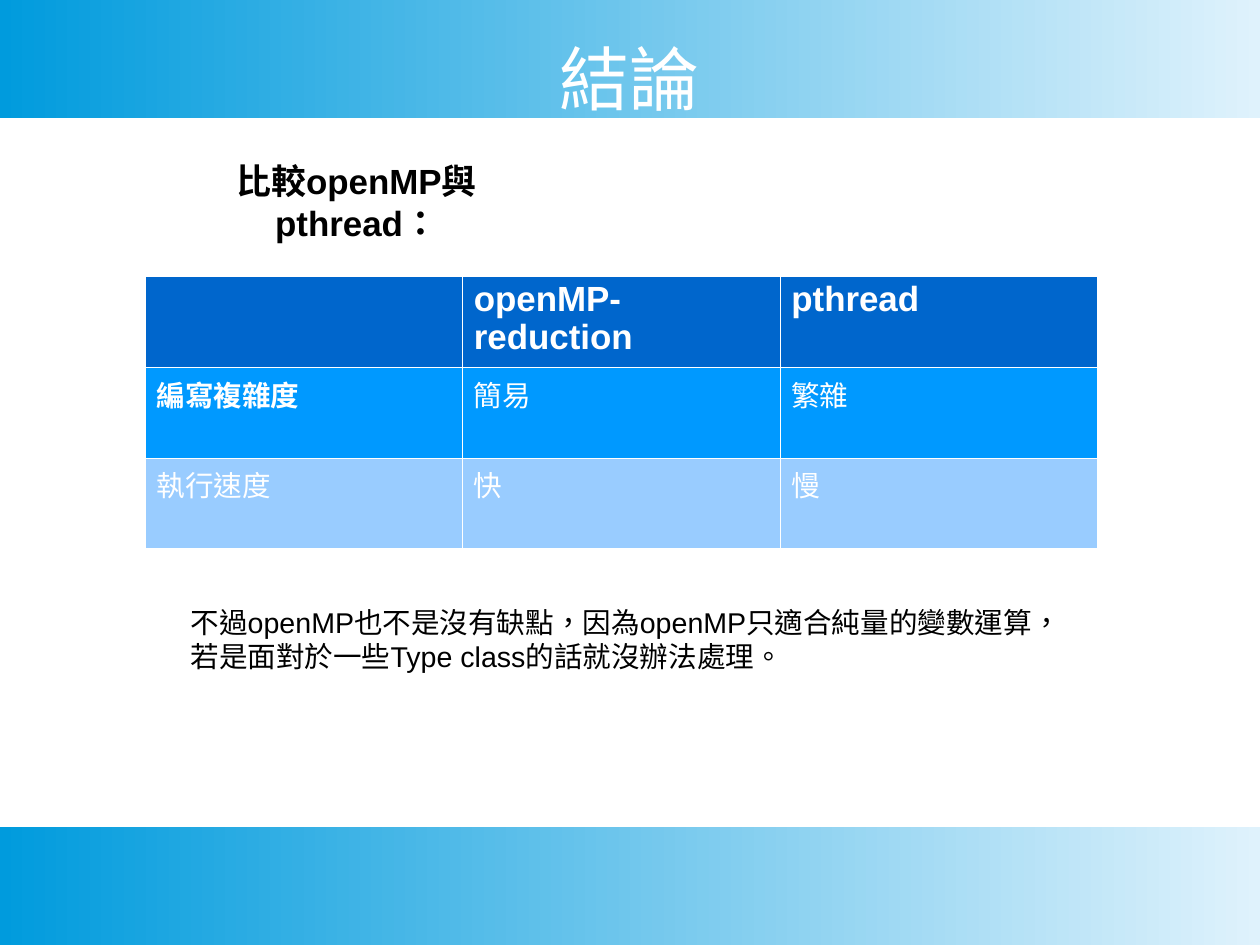
"""Builds the conclusion slide that compares openMP with pthread."""
from lxml import etree
from pptx import Presentation, util as u
from pptx.dml import color
from pptx.enum import shapes, text
from pptx.oxml import ns

WIDE, HIGH, BAND = 793.75, 595.25, 74.2
SHADES = ["DFF2FC", "009BDD"]
TITLE = ["結論"]
HEAD = ["比較openMP與pthread："]
NOTES = ["不過openMP也不是沒有缺點，因為openMP只適合純量的變數運算，",
         "若是面對於一些Type class的話就沒辦法處理。"]
ROWS = [("0066CC", ["", "openMP-reduction", "pthread"]),
        ("0099FF", ["編寫複雜度", "簡易", "繁雜"]),
        ("99CCFF", ["執行速度", "快", "慢"])]
LEFT, TOP, COL, ROW = 91.4, 174.2, 200, 56.7
LINE = 0.06


def rgb(code):
    return color.RGBColor.from_string(code)


def style(frame, size, code, bold=False, align=None):
    for para in frame.paragraphs:
        para.alignment = align
        for run in para.runs:
            font = run.font
            font.name, font.size, font.bold = "Arial", u.Pt(size), bold
            font.color.rgb = rgb(code)
            run._r.get_or_add_rPr().set("lang", "zh-TW")


def band(slide, top):
    bar = slide.shapes.add_shape(shapes.MSO_SHAPE.RECTANGLE, 0, u.Pt(top), u.Pt(WIDE), u.Pt(BAND))
    bar.shadow.inherit = False
    bar.line.fill.background()
    bar.fill.gradient()
    bar.fill.gradient_angle = 180
    for place, (stop, code) in enumerate(zip(bar.fill.gradient_stops, SHADES)):
        stop.position = place
        stop.color.rgb = rgb(code)


def label(slide, lines, area, size, code, **look):
    box = slide.shapes.add_textbox(*map(u.Pt, area))
    frame = box.text_frame
    frame.word_wrap = True
    frame.text = "\n".join(lines)
    style(frame, size, code, **look)
    return frame


def edge(cell, code):
    props = cell._tc.get_or_add_tcPr()
    for side in ("a:lnL", "a:lnR", "a:lnT", "a:lnB"):
        line = etree.SubElement(props, ns.qn(side), w=str(int(u.Pt(LINE))))
        fill = etree.SubElement(line, ns.qn("a:solidFill"))
        etree.SubElement(fill, ns.qn("a:srgbClr"), val=code)


def grid(slide):
    count = len(ROWS[0][1])
    area = (LEFT, TOP, COL * count, ROW * len(ROWS))
    table = slide.shapes.add_table(len(ROWS), count, *map(u.Pt, area)).table
    for r, (shade, words) in enumerate(ROWS):
        for c, word in enumerate(words):
            cell = table.cell(r, c)
            cell.text_frame.text = word
            style(cell.text_frame, 18 if r else 22, "FFFFFF", bold=r == 0 or (r, c) == (1, 0))
            if r == 0:
                cell.text_frame.paragraphs[0].line_spacing = 0.95
            edge(cell, "FFFFFF")
            cell.fill.solid()
            cell.fill.fore_color.rgb = rgb(shade)


def main():
    deck = Presentation()
    deck.slide_width, deck.slide_height = u.Pt(WIDE), u.Pt(HIGH)
    slide = deck.slides.add_slide(deck.slide_layouts[6])
    for top in (0, HIGH - BAND):
        band(slide, top)
    mid = text.PP_ALIGN.CENTER
    title = label(slide, TITLE, (39.6, 17.3, 714.2, 63.4), 44, "FFFFFF", align=mid)
    title.vertical_anchor = text.MSO_ANCHOR.MIDDLE
    title.margin_left = title.margin_right = title.margin_top = title.margin_bottom = 0
    grid(slide)
    label(slide, NOTES, (113, 377.3, 561.6, 59), 18, "000000")
    label(slide, HEAD, (90.7, 97.2, 267.8, 38.9), 22, "000000", bold=True, align=mid)
    deck.save("out.pptx")


if __name__ == "__main__":
    main()
